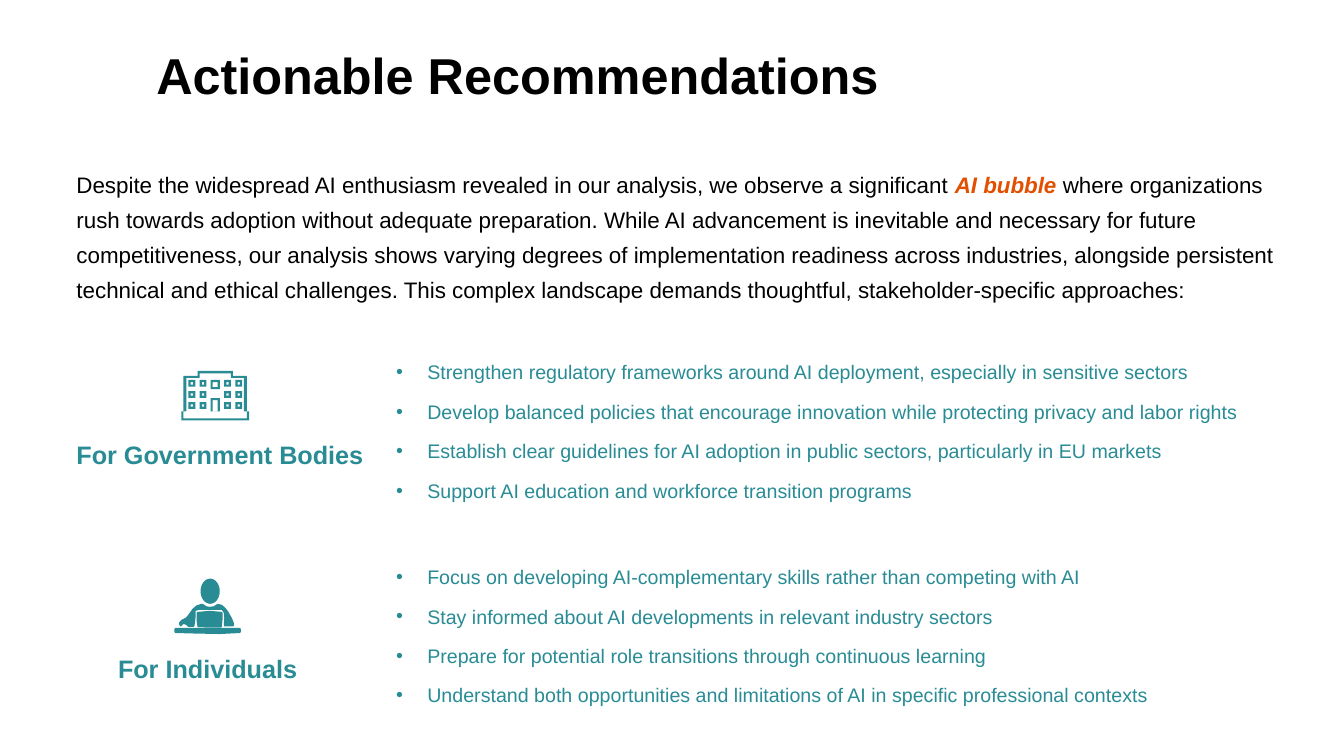
import math
from lxml import etree
from pptx import Presentation
from pptx import util as u
from pptx.dml.color import RGBColor
from pptx.enum import text
from pptx.oxml.ns import qn

TEAL = RGBColor(0x29, 0x8C, 0x95)
ORANGE = RGBColor(0xE3, 0x4F, 0x00)
BLACK = RGBColor(0, 0, 0)
LEFT, CENTER = text.PP_ALIGN.LEFT, text.PP_ALIGN.CENTER

TITLE = "Actionable Recommendations"
INTRO = [
    ("Despite the widespread AI enthusiasm revealed in our analysis, we observe a significant ", {}),
    ("AI bubble ", {"bold": True, "italic": True, "color": ORANGE}),
    ("where organizations rush towards adoption without adequate preparation. While AI "
     "advancement is inevitable and necessary for future competitiveness, our analysis shows "
     "varying degrees of implementation readiness across industries, alongside persistent "
     "technical and ethical challenges. This complex landscape demands thoughtful, "
     "stakeholder-specific approaches:", {}),
]


def box(x, y, w, h):
    return [(x, y), (x + w, y), (x + w, y + h), (x, y + h)]


def oval(cx, cy, rx, ry, steps=32):
    angles = [2 * math.pi * i / steps for i in range(steps)]
    return [(cx + rx * math.cos(a), cy + ry * math.sin(a)) for a in angles]


# Icon outlines, in hundredths of an inch from the icon's top left corner
BUILDING = [
    [(2, 40), (2, 5), (16, 5), (16, 0), (51, 0), (51, 5), (65, 5), (65, 40),
     (62, 40), (62, 7), (49, 7), (49, 2.5), (18, 2.5), (18, 7), (5, 7), (5, 40)],
    [(0, 40), (2, 40), (2, 47), (65, 47), (65, 40), (67, 40), (67, 49), (0, 49)],
    box(29, 9, 9, 9), box(31, 11, 5, 5),
    box(29, 27, 9, 13), box(31, 29, 5, 11),
]
for column in (7, 18, 42.3, 53.5):
    for row in (9, 20, 31):
        BUILDING += [box(column, row, 6.7, 6.7), box(column + 2.2, row + 2.2, 2.3, 2.3)]

PERSON = [
    oval(35.5, 12.5, 9.5, 12.5),
    [(1, 49), (65, 49), (66, 50), (66, 53), (65, 54), (45, 55), (20, 54.5), (1, 54),
     (0, 53), (0, 50)],
    [(23, 33), (35, 32), (47, 33), (48, 34), (48, 39), (47, 48), (46, 48.5),
     (35, 48.5), (23, 48), (22, 42), (22, 34)],
    [(27, 25), (28, 25), (32, 27.5), (35, 28), (39, 27.5), (43, 25), (47, 26), (50, 28.5),
     (53, 32), (57, 39), (59, 44), (59, 47), (58, 47.5), (54, 47.5), (50, 47.5),
     (49, 47), (49.5, 39), (49, 34), (47, 31), (35, 31), (25, 31), (21, 32),
     (21, 39), (20, 47), (19, 48), (14, 48), (12, 46), (9, 45), (7, 47), (6, 47.5),
     (4.5, 45), (5, 43), (7, 41), (11, 39), (13, 37), (18, 30), (22, 26.5)],
]

# label, label box, alignment, icon, icon corner, top of the bullets, bullets
SECTIONS = [
    ("For Government Bodies", (0.66, 4.25, 3.17, 0.43), LEFT, BUILDING, (1.8, 3.68), 3.48, [
        "Strengthen regulatory frameworks around AI deployment, especially in sensitive sectors",
        "Develop balanced policies that encourage innovation while protecting privacy and labor rights",
        "Establish clear guidelines for AI adoption in public sectors, particularly in EU markets",
        "Support AI education and workforce transition programs"]),
    ("For Individuals", (0.88, 6.37, 2.36, 0.43), CENTER, PERSON, (1.73, 5.74), 5.51, [
        "Focus on developing AI-complementary skills rather than competing with AI",
        "Stay informed about AI developments in relevant industry sectors",
        "Prepare for potential role transitions through continuous learning",
        "Understand both opportunities and limitations of AI in specific professional contexts"]),
]
BULLET_LEFT, BULLET_WIDTH, BULLET_HEIGHT, INDENT = 3.83, 9.04, 1.54, 0.31


def format_run(r, size, color, **values):
    r.font.color.rgb = color
    for name, value in {"name": "Arial", "size": u.Pt(size), **values}.items():
        setattr(r.font, name, value)


def format_paragraph(p, **values):
    for name, value in values.items():
        setattr(p, name, value)


def add_text_frame(s, area):
    tf = s.shapes.add_textbox(*map(u.Inches, area)).text_frame
    tf.word_wrap = True
    tf.auto_size = text.MSO_AUTO_SIZE.SHAPE_TO_FIT_TEXT
    return tf


def add_bullets(s, area, items):
    tf = add_text_frame(s, area)
    for i, item in enumerate(items):
        p = tf.add_paragraph() if i else tf.paragraphs[0]
        format_paragraph(p, line_spacing=1.2, space_after=u.Pt(8))
        pPr = p._p.get_or_add_pPr()
        pPr.set("marL", str(u.Inches(INDENT)))
        pPr.set("indent", str(-u.Inches(INDENT)))
        etree.SubElement(pPr, qn("a:buFont")).set("typeface", "Arial")
        etree.SubElement(pPr, qn("a:buChar")).set("char", "•")
        r = p.add_run()
        r.text = item
        format_run(r, 14, TEAL)


def add_icon(s, corner, contours):
    """Draw all contours as one shape; a contour inside another is a hole."""
    placed = [[tuple(u.Inches(c + v / 100) for c, v in zip(corner, point)) for point in contour]
              for contour in contours]
    builder = s.shapes.build_freeform(*placed[0][0])
    for i, contour in enumerate(placed):
        if i:
            builder.move_to(*contour[0])
        builder.add_line_segments(contour[1:], close=True)
    sp = builder.convert_to_shape()
    sp.shadow.inherit = False
    sp.fill.solid()
    sp.fill.fore_color.rgb = TEAL
    sp.line.fill.background()


def main():
    prs = Presentation()
    prs.slide_width, prs.slide_height = u.Inches(13.33), u.Inches(7.5)
    s = prs.slides.add_slide(prs.slide_layouts[5])

    title = s.shapes.title
    for name, value in zip(("left", "top", "width", "height"), (1.45, 0.19, 7.66, 0.9)):
        setattr(title, name, u.Inches(value))
    tf = title.text_frame
    tf.auto_size = text.MSO_AUTO_SIZE.NONE
    tf.vertical_anchor = text.MSO_ANCHOR.BOTTOM
    p = tf.paragraphs[0]
    format_paragraph(p, alignment=LEFT, line_spacing=1.5)
    r = p.add_run()
    r.text = TITLE
    format_run(r, 36, BLACK, bold=True)

    p = add_text_frame(s, (0.66, 1.57, 12.31, 1.46)).paragraphs[0]
    format_paragraph(p, line_spacing=1.3, space_after=u.Pt(10))
    for words, style in INTRO:
        r = p.add_run()
        r.text = words
        format_run(r, 16, **{"color": BLACK, **style})

    for label, area, alignment, icon, corner, top, items in SECTIONS:
        add_bullets(s, (BULLET_LEFT, top, BULLET_WIDTH, BULLET_HEIGHT), items)
        add_icon(s, corner, icon)
        p = add_text_frame(s, area).paragraphs[0]
        format_paragraph(p, alignment=alignment, line_spacing=1.2, space_after=u.Pt(8))
        r = p.add_run()
        r.text = label
        format_run(r, 18, TEAL, bold=True)

    prs.save("out.pptx")


if __name__ == "__main__":
    main()
